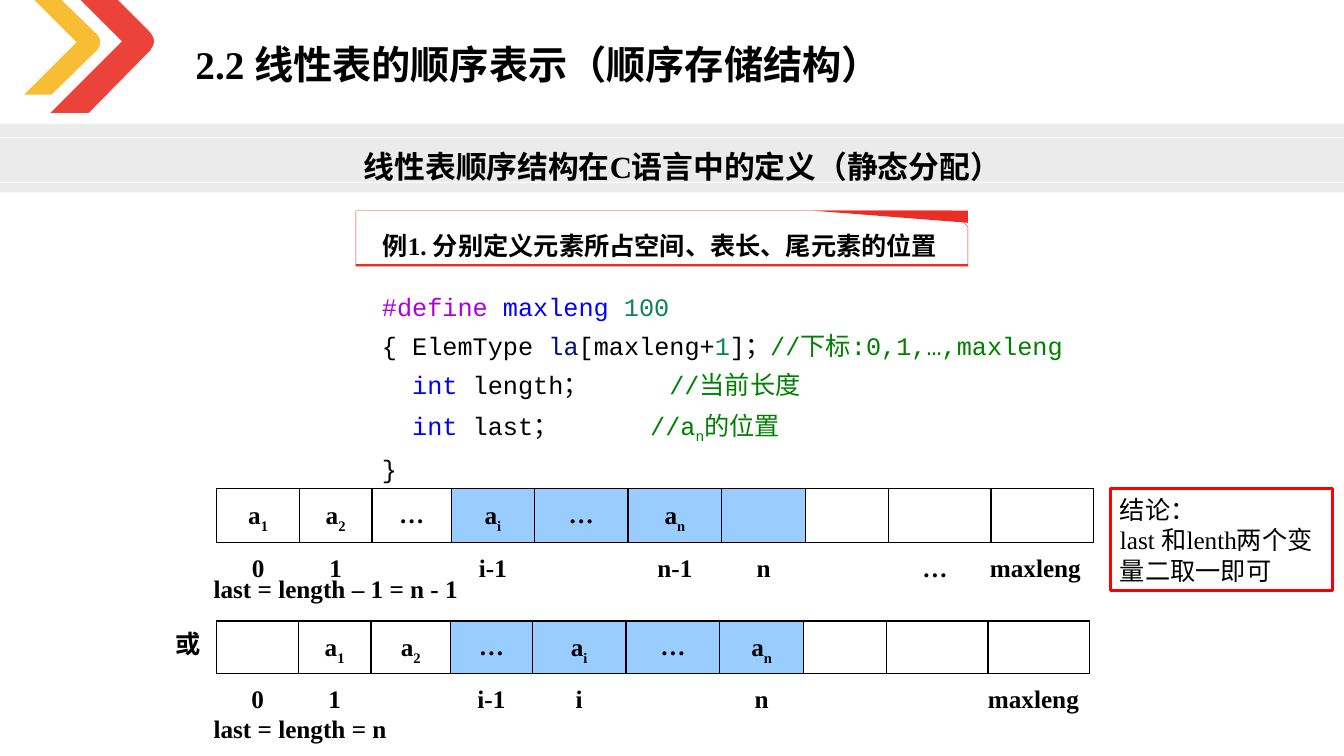
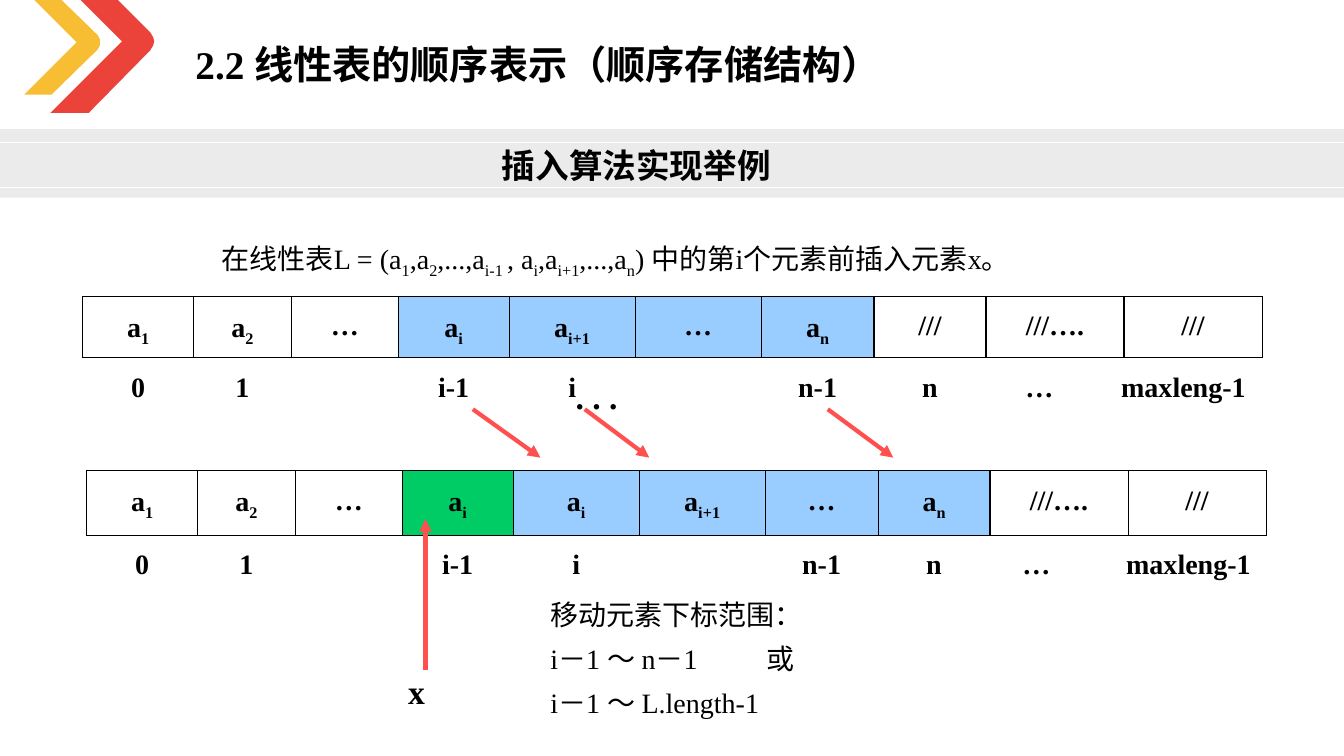
from lxml import etree
from pptx import Presentation
from pptx.dml.color import RGBColor
from pptx.enum.shapes import MSO_CONNECTOR as CONN, MSO_SHAPE as SHAPE
from pptx.enum.text import PP_ALIGN as ALIGN
from pptx.oxml.ns import qn
from pptx.util import Emu, Pt

PX = 9144
SLIDE_W, SLIDE_H = 1333, 750
SERIF, MONO = "Times New Roman", "Courier New"
NO_STYLE = "{2D5ABB26-0587-4C30-8999-92F81FD0307C}"

BLACK = RGBColor(0x00, 0x00, 0x00)
WHITE = RGBColor(0xFF, 0xFF, 0xFF)
BAND = RGBColor(0x40, 0x40, 0x40)
RED = RGBColor(0xE9, 0x2E, 0x25)
YELLOW = RGBColor(0xF7, 0xB6, 0x1D)
BOX_RED = RGBColor(0xFF, 0x00, 0x00)
ARROW = RGBColor(0xFF, 0x50, 0x50)
BLUE = RGBColor(0x99, 0xCC, 0xFF)
GREEN = RGBColor(0x00, 0xCC, 0x66)
MACRO = RGBColor(0xAF, 0x00, 0xDB)
KEYWORD = RGBColor(0x00, 0x00, 0xFF)
NUMBER = RGBColor(0x09, 0x86, 0x58)
VARIABLE = RGBColor(0x00, 0x10, 0x80)
REMARK = RGBColor(0x00, 0x80, 0x00)

TITLE = "2.2 线性表的顺序表示（顺序存储结构）"
CHEVRONS = [
    (RED, [(50, 112), (88, 112), (149, 50), (152, 45), (153, 41), (152, 37),
           (149, 32), (117, 0), (80, 0), (121, 41)]),
    (YELLOW, [(24, 94), (51, 94), (97, 49), (99, 45), (99, 42), (99, 39),
              (97, 35), (61, 0), (34, 0), (76, 42)]),
]

CODE = [
    [("#define ", MACRO), ("maxleng ", KEYWORD), ("100", NUMBER)],
    [("{ ElemType ", BLACK), ("la", VARIABLE), ("[maxleng+", BLACK),
     ("1", NUMBER), ("]；", BLACK), ("//下标:0,1,…,maxleng", REMARK)],
    [("  ", BLACK), ("int", KEYWORD), (" length；\t", BLACK), ("//当前长度", REMARK)],
    [("  ", BLACK), ("int", KEYWORD), (" last；\t", BLACK), ("//a~n~的位置", REMARK)],
    [("}", BLACK)],
]
CODE_TABS = [(), (), (285,), (266,), ()]

STATIC_ARRAYS = [
    dict(at=(215, 485), cols=[82, 72, 79, 82, 93, 93, 83, 82, 102, 102], rows=[53, 62],
         values=["a~1~", "a~2~", "…", "a~i~", "…", "a~n~", "", "", "", ""],
         index=["0", "1", "", "i-1", "", "n-1", "n", "", "\t…\tmaxleng"],
         tabs=(26, 93), fills={3: BLUE, 4: BLUE, 5: BLUE, 6: BLUE}),
    dict(at=(215, 616), cols=[81, 72, 79, 81, 93, 93, 83, 82, 101, 101], rows=[52, 48],
         values=["", "a~1~", "a~2~", "…", "a~i~", "…", "a~n~", "", "", ""],
         index=["0", "1", "", "i-1", "i", "", "n", "", "\tmaxleng"],
         tabs=(93,), fills={3: BLUE, 4: BLUE, 5: BLUE, 6: BLUE}),
]
STATIC_NOTES = [
    ((202, 564, 752, 40), "last = length – 1 = n - 1"),
    ((164, 618, 50, 40), "或"),
    ((202, 703, 752, 40), "last = length = n"),
]

INSERT_COLS = [110, 97, 106, 110, 125, 125, 112, 111, 137, 137]
INSERT_INDEX = ["0", "1", "", "i-1", "i", "", "n-1", "n", "\t…\tmaxleng-1"]
INSERT_ARRAYS = [
    dict(at=(82, 294), cols=INSERT_COLS, rows=[61, 64], index=INSERT_INDEX,
         values=["a~1~", "a~2~", "…", "a~i~", "a~i+1~", "…", "a~n~", "///", "///….", "///"],
         tabs=(29, 124), fills={3: BLUE, 4: BLUE, 5: BLUE, 6: BLUE}),
    dict(at=(86, 467), cols=INSERT_COLS, rows=[64, 64], index=INSERT_INDEX,
         values=["a~1~", "a~2~", "…", "a~i~", "a~i~", "a~i+1~", "…", "a~n~", "///….", "///"],
         tabs=(22, 125), fills={3: GREEN, 4: BLUE, 5: BLUE, 6: BLUE, 7: BLUE}),
]
MOVES = [(469, 406, 536, 454), (580, 406, 644, 454), (821, 406, 886, 454),
         (422, 665, 422, 515)]
TASK = "在线性表L = (a~1~,a~2~,...,a~i-1 ~, a~i~,a~i+1~,...,a~n~) 中的第i个元素前插入元素x。"
RANGE = ["移动元素下标范围：", "i－1 ～ n－1\t或", "i－1 ～ L.length-1"]


def px(*values):
    return [Emu(v * PX) for v in values]


def write(p, runs, size, bold=False, font=SERIF, spacing=1.3, align=ALIGN.LEFT, tabs=()):
    p.alignment, p.line_spacing = align, spacing
    if tabs:
        tab_list = etree.SubElement(p._p.get_or_add_pPr(), qn("a:tabLst"))
        for pos in tabs:
            etree.SubElement(tab_list, qn("a:tab"), pos=str(pos * PX), algn="l")
    for text, color in runs:
        for i, part in enumerate(text.split("~")):
            if not part:
                continue
            r = p.add_run()
            r.text = part
            f = r.font
            f.name, f.size, f.bold = font, Pt(size), bold
            f.color.rgb = color
            if i % 2:
                r._r.get_or_add_rPr().set("baseline", "-25000")


def fill_text(tf, lines, size, tabs=(), **style):
    tf.word_wrap = True
    for i, line in enumerate(lines):
        p = tf.paragraphs[0] if i == 0 else tf.add_paragraph()
        runs = [(line, BLACK)] if isinstance(line, str) else line
        write(p, runs, size, tabs=tabs[i] if tabs else (), **style)


def add_text(s, box, lines, size, **style):
    sp = s.shapes.add_textbox(*px(*box))
    fill_text(sp.text_frame, lines, size, **style)


def paint(sp, fill=None, line=None, width=0.25, alpha=None):
    sp.shadow.inherit = False
    if fill is None:
        sp.fill.background()
    else:
        sp.fill.solid()
        sp.fill.fore_color.rgb = fill
    if alpha:
        color = sp._element.spPr.find(qn("a:solidFill"))[0]
        etree.SubElement(color, qn("a:alpha"), val=str(alpha * 1000))
    if line is None:
        sp.line.fill.background()
    else:
        sp.line.color.rgb = line
        sp.line.width = Pt(width)
    return sp


def add_shape(s, kind, box, **style):
    return paint(s.shapes.add_shape(kind, *px(*box)), **style)


def add_outline(s, points, **style):
    builder = s.shapes.build_freeform(*points[0], scale=PX)
    builder.add_line_segments(points[1:], close=True)
    return paint(builder.convert_to_shape(), **style)


def add_line(s, ends, color, width, arrow=False):
    cx = s.shapes.add_connector(CONN.STRAIGHT, *px(*ends))
    cx.line.color.rgb = color
    cx.line.width = Pt(width)
    if arrow:
        etree.SubElement(cx.line._get_or_add_ln(), qn("a:tailEnd"), type="triangle")
    etree.SubElement(cx._element.spPr, qn("a:effectLst"))


def set_borders(cell, visible):
    tc_pr = cell._tc.get_or_add_tcPr()
    for i, side in enumerate("LRTB"):
        ln = etree.Element(qn("a:ln" + side), w=str(Pt(1)))
        if side in visible:
            color = etree.SubElement(etree.SubElement(ln, qn("a:solidFill")), qn("a:srgbClr"))
            color.set("val", str(BLACK))
        else:
            etree.SubElement(ln, qn("a:noFill"))
        tc_pr.insert(i, ln)


def add_array(s, array, size, margins):
    cols, rows = array["cols"], array["rows"]
    frame = s.shapes.add_table(2, len(cols), *px(*array["at"], sum(cols), sum(rows)))
    table = frame.table
    table.first_row = table.horz_banding = False
    table._tbl.tblPr.find(qn("a:tableStyleId")).text = NO_STYLE
    for col, w in zip(table.columns, cols):
        col.width = Emu(w * PX)
    for row, h in zip(table.rows, rows):
        row.height = Emu(h * PX)
    last = len(array["index"]) - 1
    table.cell(1, last).merge(table.cell(1, len(cols) - 1))
    for y, texts in enumerate([array["values"], array["index"]]):
        for x in range(len(cols)):
            cell = table.cell(y, x)
            side, edge = px(*margins)
            cell.margin_left = cell.margin_right = side
            cell.margin_top = cell.margin_bottom = edge
            if y == 0 and x in array["fills"]:
                cell.fill.solid()
                cell.fill.fore_color.rgb = array["fills"][x]
            else:
                cell.fill.background()
            set_borders(cell, "T" if y else "LRTB")
            if x < len(texts):
                spanned = y == 1 and x == last
                write(cell.text_frame.paragraphs[0], [(texts[x], BLACK)], size, bold=True,
                      align=ALIGN.LEFT if spanned else ALIGN.CENTER,
                      tabs=array["tabs"] if spanned else ())


def new_slide(prs, band_top, heading, box, size, spacing):
    s = prs.slides.add_slide(prs.slide_layouts[6])
    add_shape(s, SHAPE.RECTANGLE, (0, band_top, SLIDE_W, 68), fill=BAND, alpha=10)
    for dy in (13, 58):
        add_line(s, (0, band_top + dy, SLIDE_W, band_top + dy), WHITE, 0.5)
    for color, points in CHEVRONS:
        add_outline(s, points, fill=color, alpha=90)
    add_text(s, (184, 21, 815, 65), [TITLE], 28, bold=True)
    add_text(s, box, [heading], size, bold=True, spacing=spacing)
    return s


def build_definition(prs):
    s = new_slide(prs, 123, "线性表顺序结构在C语言中的定义（静态分配）", (351, 131, 750, 54), 22, 1.3)
    card = add_shape(s, SHAPE.SNIP_1_RECTANGLE, (353, 209, 607, 55), fill=WHITE, line=RED)
    card.adjustments[0] = 0.29
    add_shape(s, SHAPE.RECTANGLE, (353, 262, 607, 2), fill=RED)
    add_outline(s, [(960, 209), (807, 209), (960, 221)], fill=RED)
    add_text(s, (351, 215, 607, 46), ["例1. 分别定义元素所占空间、表长、尾元素的位置"], 18,
             bold=True, align=ALIGN.CENTER)
    add_text(s, (369, 275, 752, 204), CODE, 18, font=MONO, tabs=CODE_TABS)
    for array in STATIC_ARRAYS:
        add_array(s, array, 18, (8, 4))
    for box, note in STATIC_NOTES:
        add_text(s, box, [note], 18, bold=True, spacing=1.0)
    result = add_shape(s, SHAPE.RECTANGLE, (1101, 485, 221, 101), line=BOX_RED, width=2.25)
    fill_text(result.text_frame, ["结论：", "last 和lenth两个变量二取一即可"], 18, spacing=1.0)


def build_insertion(prs):
    s = new_slide(prs, 128, "插入算法实现举例", (488, 139, 500, 50), 24, 1.0)
    for array in INSERT_ARRAYS:
        add_array(s, array, 20, (10, 5))
    for ends in MOVES:
        add_line(s, ends, ARROW, 3, arrow=True)
    add_text(s, (561, 356, 126, 57), [". . ."], 24, bold=True)
    add_text(s, (210, 223, 1100, 50), [TASK], 20)
    add_text(s, (395, 649, 84, 57), ["x"], 24, bold=True)
    add_text(s, (536, 578, 601, 137), RANGE, 20, tabs=[(), (214,), ()])


def main():
    prs = Presentation()
    prs.slide_width, prs.slide_height = px(SLIDE_W, SLIDE_H)
    build_definition(prs)
    build_insertion(prs)
    prs.save("out.pptx")


if __name__ == "__main__":
    main()
